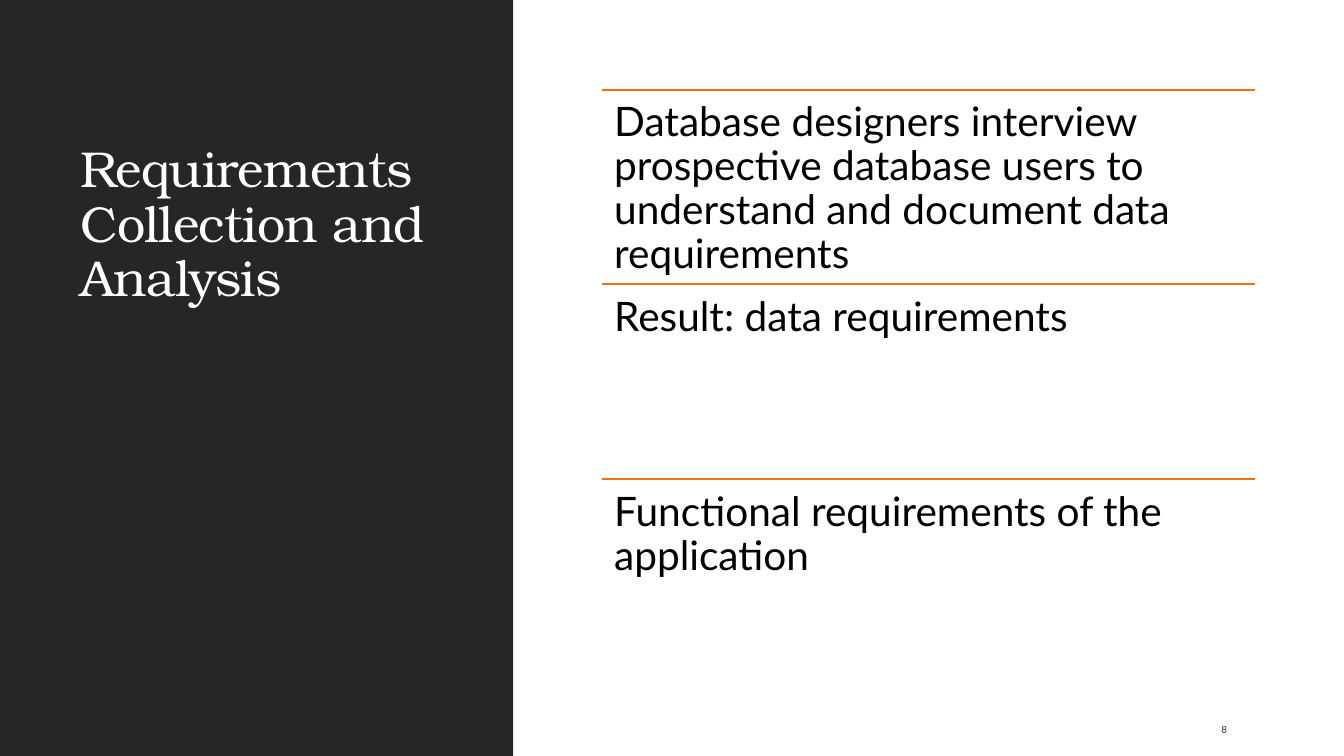
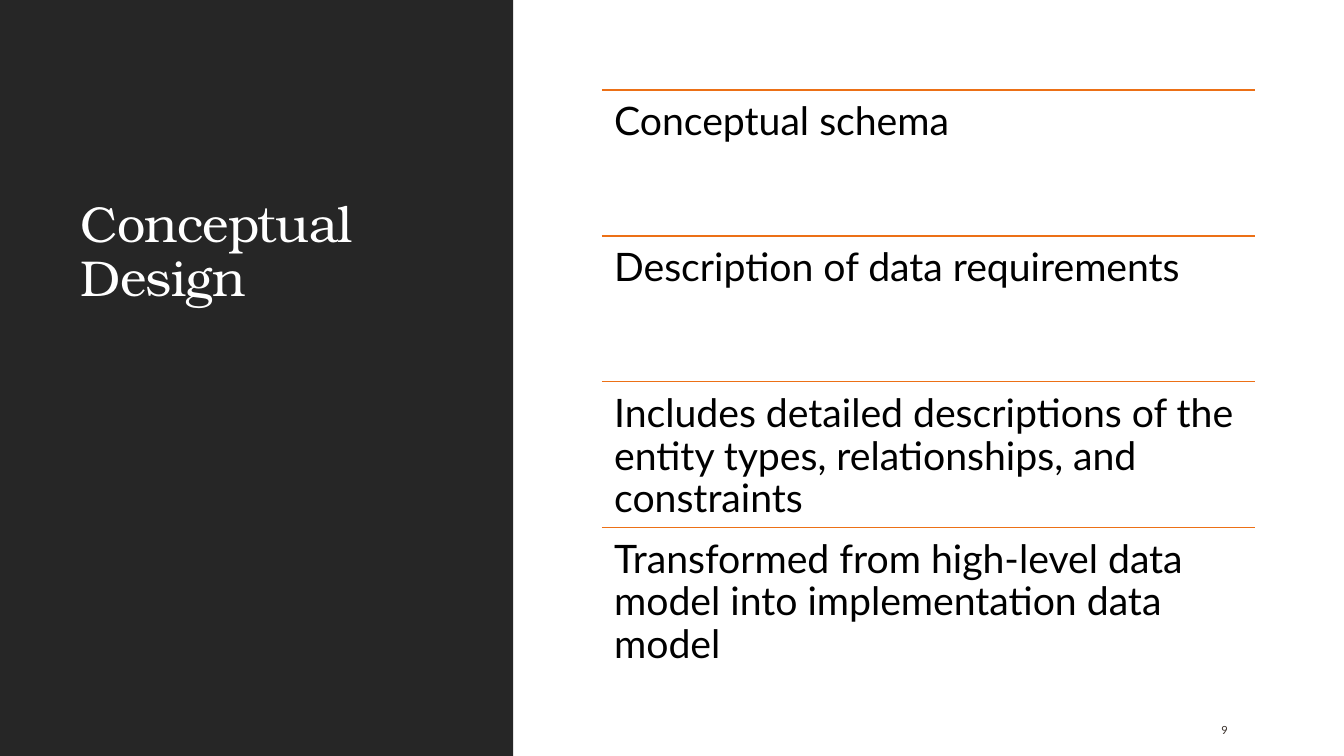
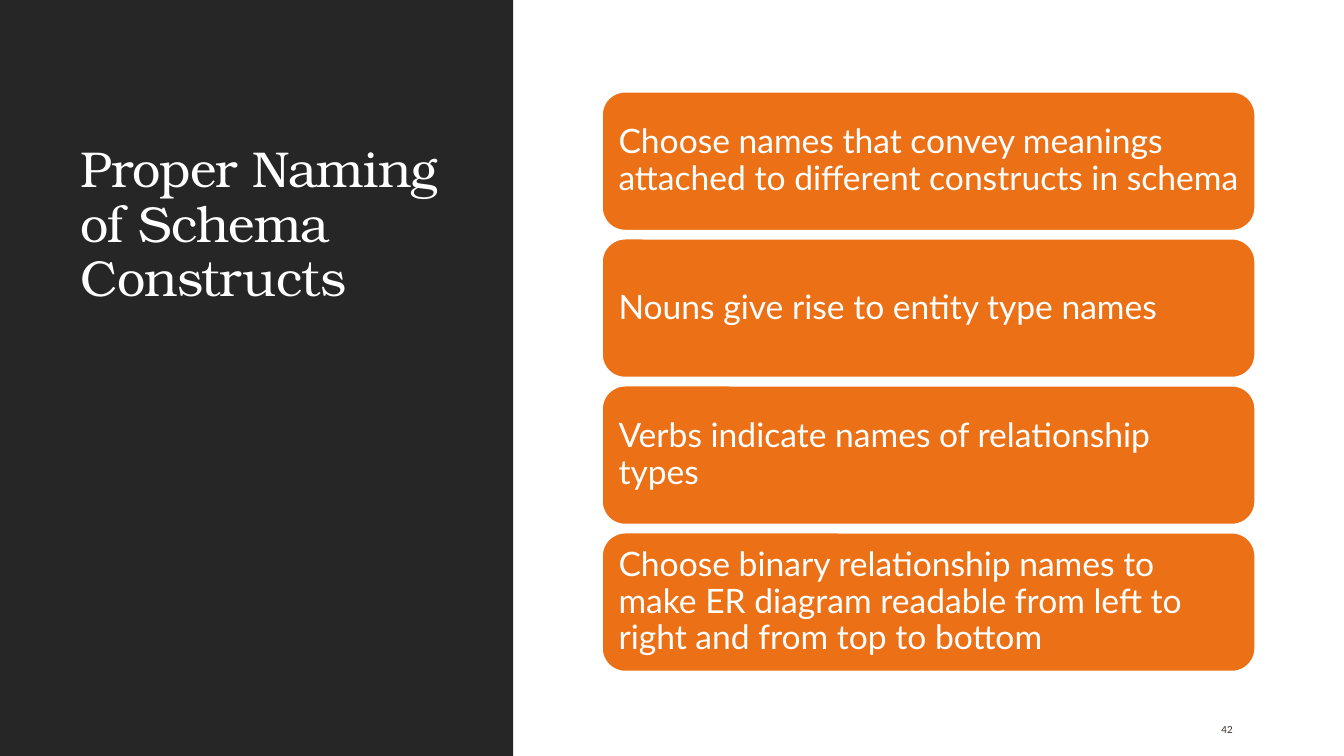
"""Build three slides on database design, each with a dark title panel."""
from dataclasses import dataclass

from lxml.etree import SubElement
from pptx import Presentation
from pptx.dml.color import RGBColor
from pptx.enum.shapes import MSO_CONNECTOR, MSO_SHAPE
from pptx.enum.text import MSO_ANCHOR, PP_ALIGN
from pptx.oxml.ns import qn
from pptx.slide import Slide
from pptx.text.text import TextFrame
from pptx.util import Pt


@dataclass(frozen=True)
class Theme:
    panel: str = "262626"
    accent: str = "EC7016"
    white: str = "FFFFFF"
    black: str = "000000"
    muted: str = "39302A"
    serif: str = "TeX Gyre Bonum"
    sans: str = "Lato"
    title: float = 36
    card: float = 24
    stroke: float = 1.25


@dataclass(frozen=True)
class Box:
    left: float
    top: float
    width: float
    height: float

    def place(self) -> tuple[Pt, Pt, Pt, Pt]:
        return Pt(self.left), Pt(self.top), Pt(self.width), Pt(self.height)

    def split(self, count: int, gap: float = 0) -> list["Box"]:
        height = (self.height - gap * (count - 1)) / count
        return [Box(self.left, self.top + i * (height + gap), self.width, height)
                for i in range(count)]


@dataclass(frozen=True)
class Page:
    title: str
    number: str
    items: tuple[str, ...]
    size: float
    cards: bool = False
    small: float = 7


THEME = Theme()
PANEL = Box(0, 0, 366.5, 540)
TITLE = Box(50.4, 61.9, 277.2, 164.9)
NUMBER = Box(865.4, 507.6, 61.2, 28.8)
LIST = Box(430, 64.1, 466.6, 417)
CARDS = Box(430, 65.5, 466.6, 414.2)
CARD_GAP = 5.75

PAGES = (
    Page("Requirements Collection and Analysis", "8", (
        "Database designers interview prospective database users to "
        "understand and document data requirements",
        "Result: data requirements",
        "Functional requirements of the application",
    ), 29),
    Page("Conceptual Design", "9", (
        "Conceptual schema",
        "Description of data requirements",
        "Includes detailed descriptions of the entity types, relationships, "
        "and constraints",
        "Transformed from high-level data model into implementation data model",
    ), 28, small=8),
    Page("Proper Naming of Schema Constructs", "42", (
        "Choose names that convey meanings attached to different constructs "
        "in schema",
        "Nouns give rise to entity type names",
        "Verbs indicate names of relationship types",
        "Choose binary relationship names to make ER diagram readable from "
        "left to right and from top to bottom",
    ), THEME.card, cards=True),
)


def tint(color: str) -> RGBColor:
    return RGBColor.from_string(color)


def write(frame: TextFrame, text: str, *, size: float, color: str,
          face: str = THEME.sans, anchor: MSO_ANCHOR = MSO_ANCHOR.TOP,
          inset: float = 7.2, track: int = 0) -> None:
    frame.word_wrap = True
    frame.vertical_anchor = anchor
    frame.margin_left = frame.margin_right = Pt(inset)
    frame.margin_top = frame.margin_bottom = Pt(inset)
    para = frame.paragraphs[0]
    para.alignment = PP_ALIGN.LEFT
    para.line_spacing = 0.9
    run = para.add_run()
    run.text = text
    run.font.size = Pt(size)
    run.font.name = face
    run.font.color.rgb = tint(color)
    if track:
        run.font._element.set("spc", str(track))


def add_text(slide: Slide, box: Box, text: str, **format) -> None:
    write(slide.shapes.add_textbox(*box.place()).text_frame, text, **format)


def add_block(slide: Slide, kind: MSO_SHAPE, box: Box, fill: str,
              edge: str | None = None) -> TextFrame:
    shape = slide.shapes.add_shape(kind, *box.place())
    shape.shadow.inherit = False
    shape.fill.solid()
    shape.fill.fore_color.rgb = tint(fill)
    if edge:
        shape.line.color.rgb = tint(edge)
        shape.line.width = Pt(THEME.stroke)
    else:
        shape.line.fill.background()
    return shape.text_frame


def add_rule(slide: Slide, box: Box) -> None:
    rule = slide.shapes.add_connector(
        MSO_CONNECTOR.STRAIGHT, Pt(box.left), Pt(box.top),
        Pt(box.left + box.width), Pt(box.top))
    rule.line.color.rgb = tint(THEME.accent)
    rule.line.width = Pt(THEME.stroke)
    SubElement(rule._element.spPr, qn("a:effectLst"))


def add_list(slide: Slide, page: Page) -> None:
    for box, item in zip(LIST.split(len(page.items)), page.items):
        add_rule(slide, box)
        add_text(slide, box, item, size=page.size, color=THEME.black, inset=8.7)


def add_cards(slide: Slide, page: Page) -> None:
    for box, item in zip(CARDS.split(len(page.items), CARD_GAP), page.items):
        frame = add_block(slide, MSO_SHAPE.ROUNDED_RECTANGLE, box,
                          THEME.accent, THEME.white)
        write(frame, item, size=page.size, color=THEME.white,
              anchor=MSO_ANCHOR.MIDDLE, inset=7)


def add_frame(slide: Slide, page: Page) -> None:
    add_block(slide, MSO_SHAPE.RECTANGLE, PANEL, THEME.panel)
    add_text(slide, TITLE, page.title, size=THEME.title, color=THEME.white,
             face=THEME.serif, anchor=MSO_ANCHOR.BOTTOM, track=-50)
    add_text(slide, NUMBER, page.number, size=page.small, color=THEME.muted,
             anchor=MSO_ANCHOR.MIDDLE)


def main() -> None:
    deck = Presentation()
    deck.slide_width, deck.slide_height = Pt(960), Pt(540)
    for page in PAGES:
        slide = deck.slides.add_slide(deck.slide_layouts[6])
        add_frame(slide, page)
        draw = add_cards if page.cards else add_list
        draw(slide, page)
    deck.save("out.pptx")


if __name__ == "__main__":
    main()
